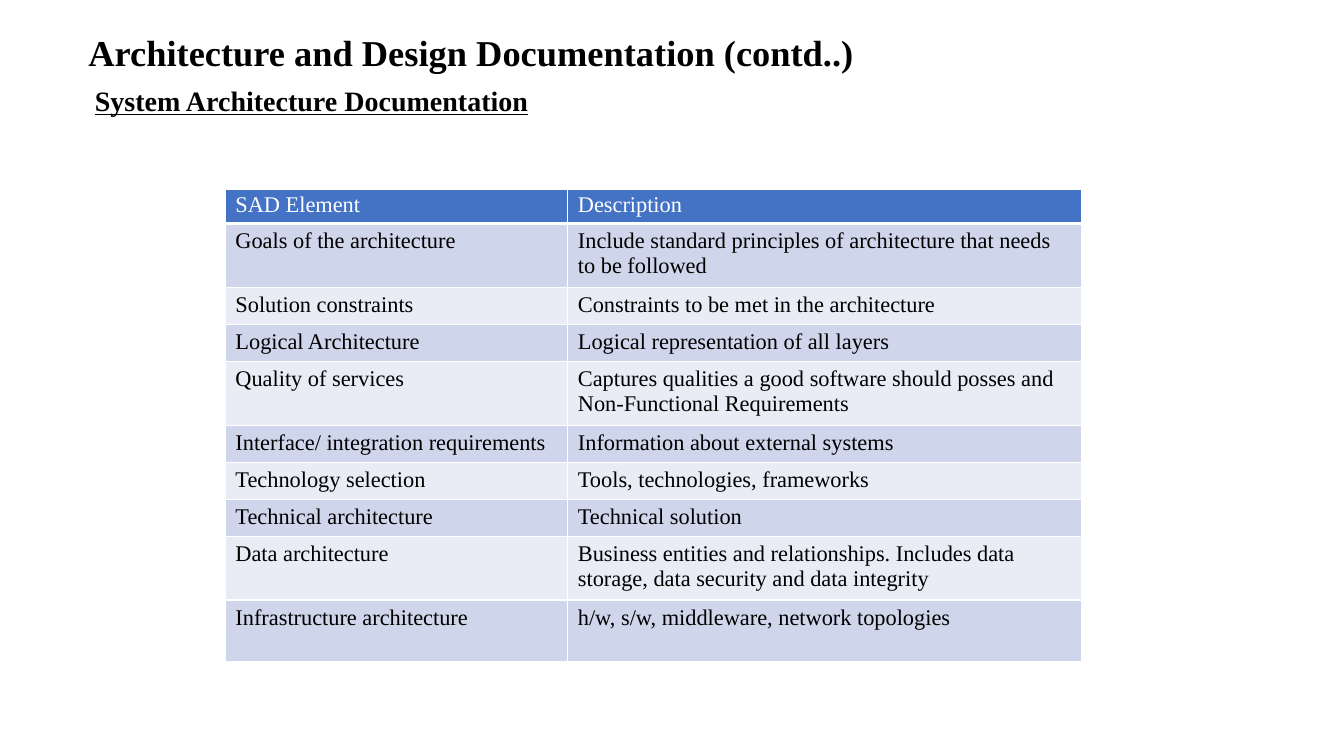
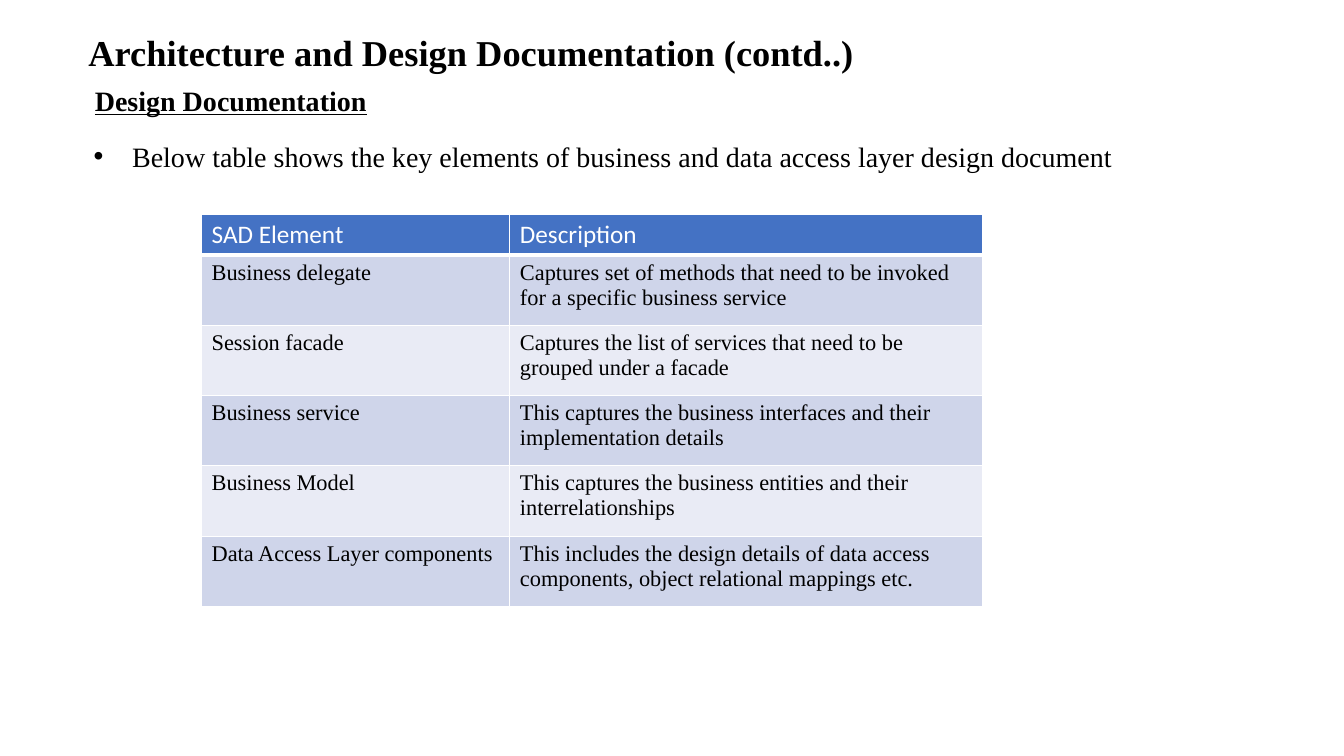
from lxml import etree
from pptx import Presentation
from pptx.dml.color import RGBColor
from pptx.enum.text import MSO_ANCHOR, PP_ALIGN
from pptx.oxml.ns import qn
from pptx.util import Cm, Pt

MIDDLE = MSO_ANCHOR.MIDDLE
JUSTIFY = PP_ALIGN.JUSTIFY

COLORS = {
    "text": "000000",
    "header_text": "FFFFFF",
    "border": "FFFFFF",
    "header": "4472C4",
    "odd_row": "CFD5EA",
    "even_row": "E9EBF5",
}
SERIF = "Times New Roman"
SANS = "Calibri"

TITLE = "Architecture and Design Documentation (contd..)"
TITLE_FONT = {"name": SERIF, "size": Pt(26), "bold": True}
HEADING_FONT = {"name": SERIF, "size": Pt(20), "bold": True, "underline": True}
BULLET_FONT = {"name": SERIF, "size": Pt(20)}
CELL_FONT = {"name": SERIF, "size": Pt(16), "bold": False}
BODY_FORMAT = {"line_spacing": 1.08, "space_before": Pt(14)}

TABLE_HEADER = ("SAD Element", "Description")
ARCHITECTURE_ROWS = [
    ("Goals of the architecture",
     "Include standard principles of architecture that needs to be followed"),
    ("Solution constraints", "Constraints to be met in the architecture"),
    ("Logical Architecture", "Logical representation of all layers"),
    ("Quality of services",
     "Captures qualities a good software should posses and Non-Functional Requirements"),
    ("Interface/ integration requirements", "Information about external systems"),
    ("Technology selection", "Tools, technologies, frameworks"),
    ("Technical architecture", "Technical solution"),
    ("Data architecture",
     "Business entities and relationships. Includes data storage, "
     "data security and data integrity"),
    ("Infrastructure architecture", "h/w, s/w, middleware, network topologies"),
]
DESIGN_ROWS = [
    ("Business delegate",
     "Captures set of methods that need to be invoked for a specific business service"),
    ("Session facade",
     "Captures the list of services that need to be grouped under a facade"),
    ("Business service",
     "This captures the business interfaces and their implementation details"),
    ("Business Model",
     "This captures the business entities and their interrelationships"),
    ("Data Access Layer components",
     "This includes the design details of data access components, "
     "object relational mappings etc."),
]
SINGLE, DOUBLE = 0.89, 1.52
ARCHITECTURE_HEIGHTS = [0.82, DOUBLE, SINGLE, SINGLE, DOUBLE,
                        SINGLE, SINGLE, SINGLE, DOUBLE, 1.54]
DESIGN_HEIGHTS = [1.03] + [1.77] * len(DESIGN_ROWS)


def apply(target, values):
    for name, value in values.items():
        setattr(target, name, value)


def write(paragraph, text, font, layout, color="text"):
    run = paragraph.add_run()
    run.text = text
    apply(run.font, font)
    run.font.color.rgb = RGBColor.from_string(COLORS[color])
    apply(paragraph, layout)


def indent(paragraph, margin, first_line=0, bullet=None):
    """Set the left margin and first-line indent in cm, with an optional bullet."""
    properties = paragraph._p.get_or_add_pPr()
    properties.set("marL", str(Cm(margin)))
    properties.set("indent", str(Cm(first_line)))
    if bullet:
        etree.SubElement(properties, qn("a:buFont")).set("typeface", "Arial")
        etree.SubElement(properties, qn("a:buChar")).set("char", bullet)


def add_text_frame(slide, left, top, width, height):
    box = slide.shapes.add_textbox(Cm(left), Cm(top), Cm(width), Cm(height))
    box.text_frame.word_wrap = True
    return box.text_frame


def add_titled_slide(deck, heading):
    """Add a slide with the shared title and heading; return it with its body."""
    slide = deck.slides.add_slide(deck.slide_layouts[6])
    title = add_text_frame(slide, 1.98, 0.36, 26.8, 1.9)
    title.vertical_anchor = MIDDLE
    write(title.paragraphs[0], TITLE, TITLE_FONT, {})
    body = add_text_frame(slide, 1.78, 1.91, 29.39, 16.79)
    write(body.paragraphs[0], heading, HEADING_FONT, BODY_FORMAT)
    indent(body.paragraphs[0], 0.36)
    return slide, body


def add_bullet(body, text):
    paragraph = body.add_paragraph()
    write(paragraph, text, BULLET_FONT, {**BODY_FORMAT, "alignment": JUSTIFY})
    indent(paragraph, 1.3, -0.97, "•")


def set_borders(cell, bottom):
    properties = cell._tc.get_or_add_tcPr()
    for side, width in {"L": 1, "R": 1, "T": 1, "B": bottom}.items():
        line = etree.SubElement(properties, qn(f"a:ln{side}"), w=str(Pt(width)))
        fill = etree.SubElement(line, qn("a:solidFill"))
        etree.SubElement(fill, qn("a:srgbClr")).set("val", COLORS["border"])


def add_elements_table(slide, left, top, widths, heights, rows, header_font, header_layout):
    table = slide.shapes.add_table(
        len(heights), len(widths), Cm(left), Cm(top),
        Cm(sum(widths)), Cm(sum(heights))).table
    for column, width in zip(table.columns, widths):
        column.width = Cm(width)
    for row, height in zip(table.rows, heights):
        row.height = Cm(height)
    for r, texts in enumerate([TABLE_HEADER, *rows]):
        if r == 0:
            fill, color, font, layout, bottom = (
                "header", "header_text", header_font, header_layout, 3)
        else:
            fill = "odd_row" if r % 2 else "even_row"
            color, font, layout, bottom = "text", CELL_FONT, {}, 1
        for c, text in enumerate(texts):
            cell = table.cell(r, c)
            set_borders(cell, bottom)
            cell.fill.solid()
            cell.fill.fore_color.rgb = RGBColor.from_string(COLORS[fill])
            write(cell.text_frame.paragraphs[0], text, font, layout, color)


def main():
    deck = Presentation()
    deck.slide_width, deck.slide_height = Cm(33.87), Cm(19.05)

    slide, _ = add_titled_slide(deck, "System Architecture Documentation")
    add_elements_table(slide, 5.68, 4.77, [8.63, 12.95], ARCHITECTURE_HEIGHTS,
                       ARCHITECTURE_ROWS, CELL_FONT, {"line_spacing": 0.9})

    slide, body = add_titled_slide(deck, "Design Documentation")
    add_bullet(body, "Below table shows the key elements of business and "
                     "data access layer design document")
    add_elements_table(slide, 5.08, 5.4, [7.77, 11.91], DESIGN_HEIGHTS, DESIGN_ROWS,
                       {"name": SANS, "size": Pt(18), "bold": False}, {})

    deck.save("out.pptx")


if __name__ == "__main__":
    main()
